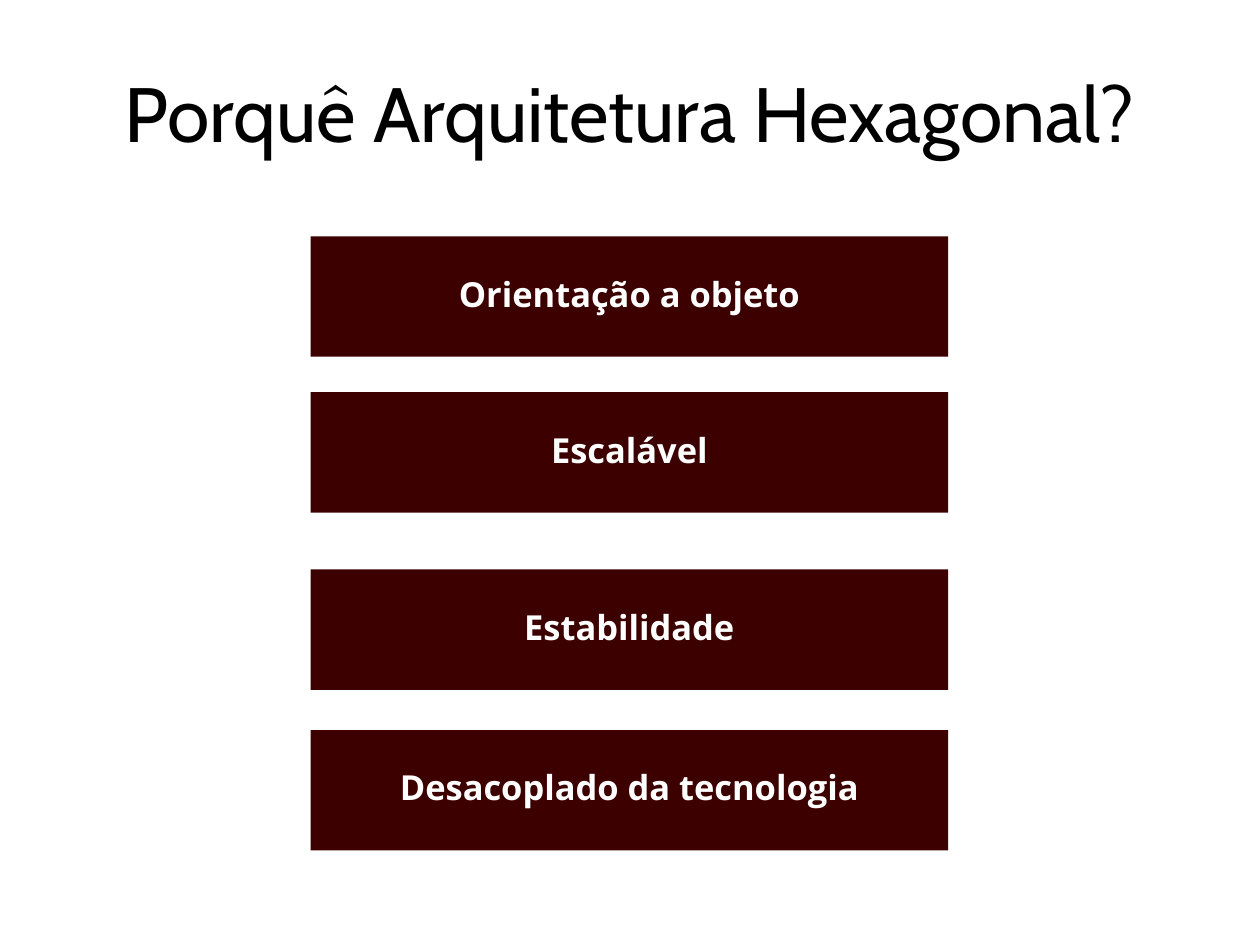
from pptx import Presentation
from pptx import util as u
from pptx.dml.color import RGBColor
from pptx.enum import shapes, text


def rgb(code):
    return RGBColor.from_string(code)


class Deck:
    """Holds the style and the current slide."""
    TITLE_FONT, BODY_FONT = "Cabin", "Open Sans"
    BLACK, WHITE, MAROON = "000000", "FFFFFF", "3D0000"

    def __init__(self, slide):
        self.s = slide
        slide.background.fill.solid()
        slide.background.fill.fore_color.rgb = rgb(self.WHITE)

    def label(self, words, box, font, size, leading, color, bold=False, inset=0):
        sp = self.s.shapes.add_textbox(*map(u.Inches, box))
        tf = sp.text_frame
        tf.word_wrap = True
        tf.vertical_anchor = text.MSO_ANCHOR.MIDDLE
        tf.margin_left = tf.margin_right = u.Inches(inset)
        tf.margin_top = tf.margin_bottom = u.Inches(inset)
        p = tf.paragraphs[0]
        p.alignment = text.PP_ALIGN.CENTER
        p.line_spacing = u.Pt(leading)
        r = p.add_run()
        r.text = words
        r.font.name, r.font.size, r.font.bold = font, u.Pt(size), bold
        r.font.color.rgb = rgb(color)

    def title(self, words):
        self.label(words, (0.53, 0.24, 9.6, 1.41), self.TITLE_FONT, 46.9, 56.3,
                   self.BLACK)

    def bar(self, words, top, left=2.63, width=5.4, height=1.02, rise=0.11):
        sp = self.s.shapes.add_shape(
            shapes.MSO_SHAPE.RECTANGLE,
            *map(u.Inches, (left, top, width, height)))
        sp.shadow.inherit = False
        sp.fill.solid()
        sp.fill.fore_color.rgb = rgb(self.MAROON)
        sp.line.fill.background()
        # The label reaches slightly above its bar
        self.label(words, (left, top - rise, width, height + rise),
                   self.BODY_FONT, 21, 29.4, self.WHITE, bold=True, inset=0.06)


def main():
    prs = Presentation()
    prs.slide_width, prs.slide_height = u.Inches(10.67), u.Inches(8)
    deck = Deck(prs.slides.add_slide(prs.slide_layouts[6]))

    # Title
    deck.title("Porquê Arquitetura Hexagonal?")

    # Reasons, each with the top of its bar
    reasons = [("Orientação a objeto", 2), ("Escalável", 3.32),
               ("Estabilidade", 4.82), ("Desacoplado da tecnologia", 6.18)]
    for words, top in reasons:
        deck.bar(words, top)

    prs.save("out.pptx")


if __name__ == "__main__":
    main()
